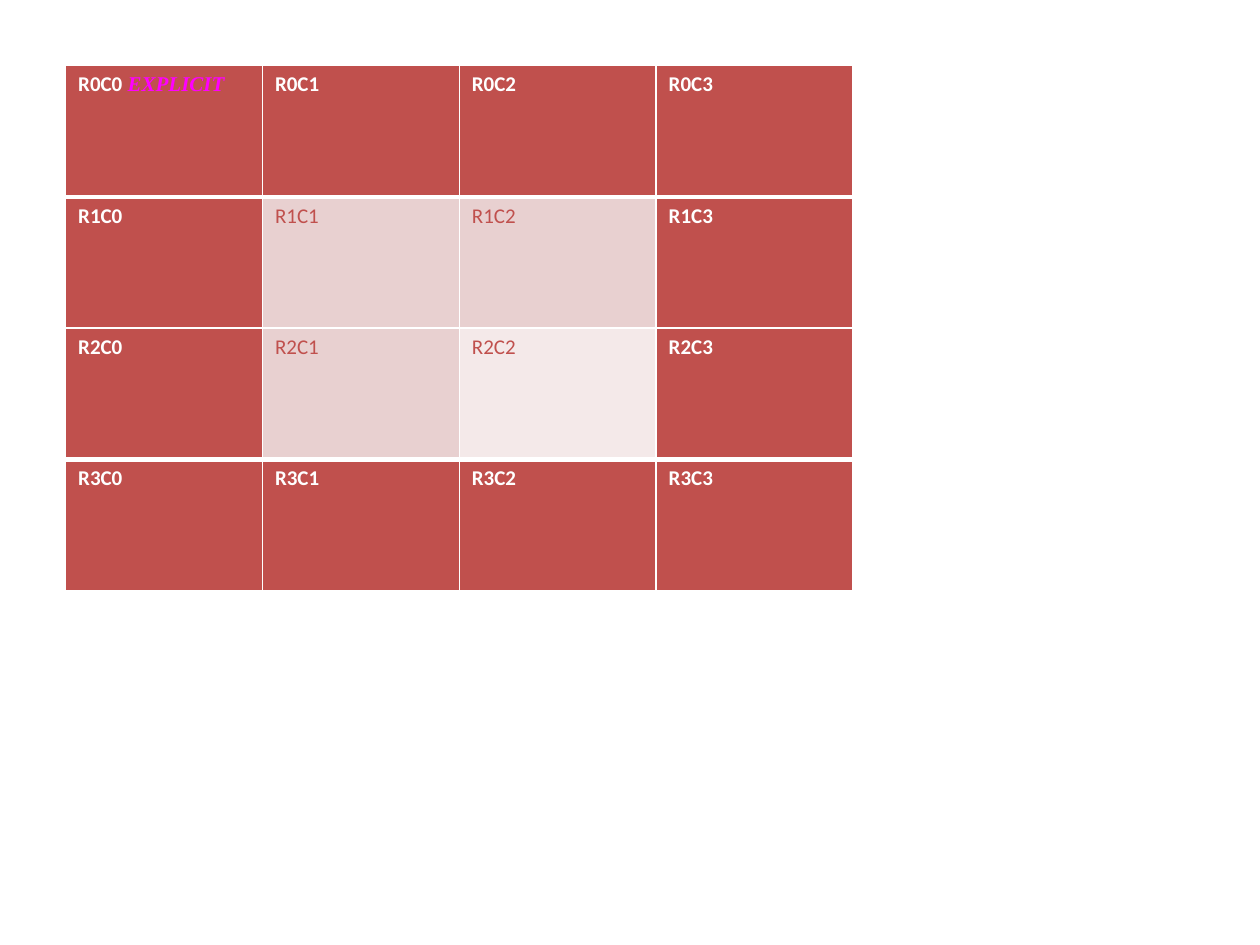
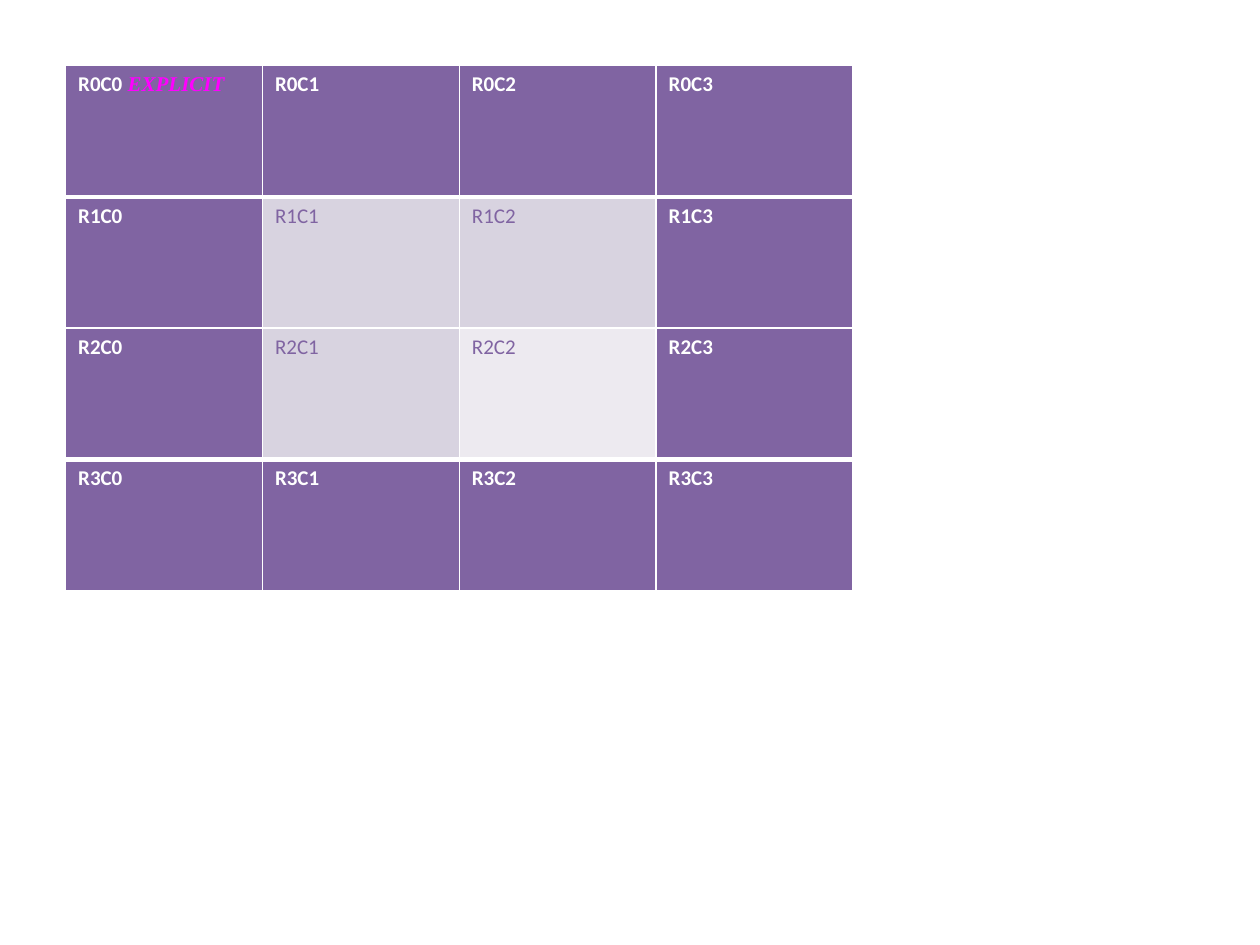
from lxml import etree
from pptx import Presentation
from pptx import util as u
from pptx.dml.color import RGBColor
from pptx.oxml.ns import qn

WHITE = RGBColor(0xFF, 0xFF, 0xFF)
MAGENTA = RGBColor(0xFF, 0x00, 0xFF)
RED = RGBColor(0xC0, 0x50, 0x4D)
RED_LIGHT = RGBColor(0xE8, 0xD0, 0xD0)
RED_PALE = RGBColor(0xF4, 0xE9, 0xE9)
PURPLE = RGBColor(0x80, 0x64, 0xA2)
PURPLE_LIGHT = RGBColor(0xD8, 0xD3, 0xE0)
PURPLE_PALE = RGBColor(0xED, 0xEA, 0xF0)

THEMES = [(RED, RED_LIGHT, RED_PALE), (PURPLE, PURPLE_LIGHT, PURPLE_PALE)]
SIZE = 4
LAST = SIZE - 1
THIN, THICK = u.Pt(1), u.Pt(3)
HEADING_RULES = (1, LAST)


def add_run(paragraph, content, color, **formats):
    run = paragraph.add_run()
    run.text = content
    run.font.color.rgb = color
    for name, value in ({"name": "Calibri", "size": u.Pt(12)} | formats).items():
        setattr(run.font, name, value)


def add_borders(cell, row):
    properties = cell._tc.get_or_add_tcPr()
    top = THICK if row in HEADING_RULES else THIN
    bottom = THICK if row + 1 in HEADING_RULES else THIN
    for side, width in {"L": THIN, "R": THIN, "T": top, "B": bottom}.items():
        line = etree.SubElement(properties, qn(f"a:ln{side}"), w=str(width))
        fill = etree.SubElement(line, qn("a:solidFill"))
        etree.SubElement(fill, qn("a:srgbClr"), val=str(WHITE))


presentation = Presentation()
presentation.slide_width = u.Inches(10)
presentation.slide_height = u.Inches(7.5)
column_width = presentation.slide_width * 5 // 32
row_height = column_width * 2 // 3
margin = column_width // 3

for accent, light, pale in THEMES:
    slide = presentation.slides.add_slide(presentation.slide_layouts[6])
    table = slide.shapes.add_table(
        SIZE, SIZE, margin, margin, SIZE * column_width, SIZE * row_height
    ).table
    for row in range(SIZE):
        for column in range(SIZE):
            cell = table.cell(row, column)
            heading = row in (0, LAST) or column in (0, LAST)
            body_fill = pale if row == column == 2 else light
            add_borders(cell, row)
            cell.fill.solid()
            cell.fill.fore_color.rgb = accent if heading else body_fill
            paragraph = cell.text_frame.paragraphs[0]
            add_run(paragraph, f"R{row}C{column}", WHITE if heading else accent, bold=heading)
            if row == column == 0:
                add_run(paragraph, " EXPLICIT", MAGENTA, name="Times New Roman", bold=True, italic=True)

presentation.save("out.pptx")
